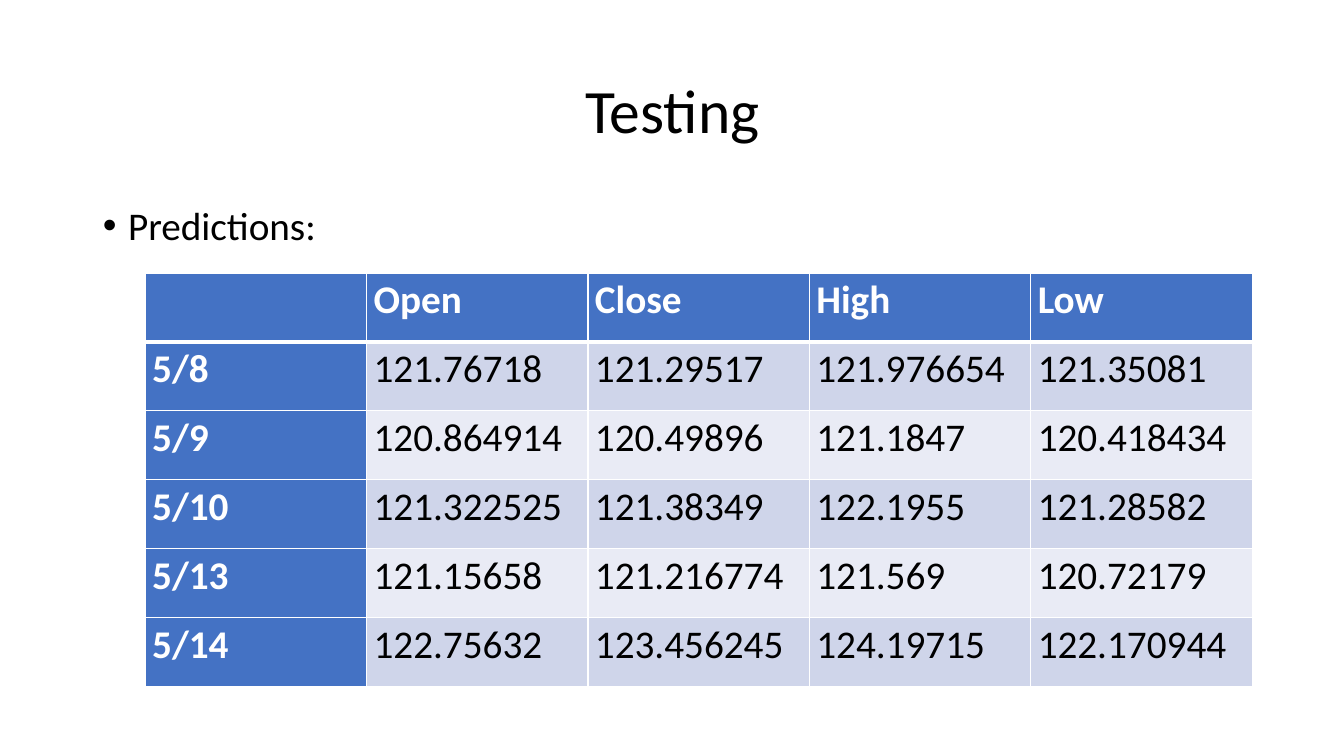
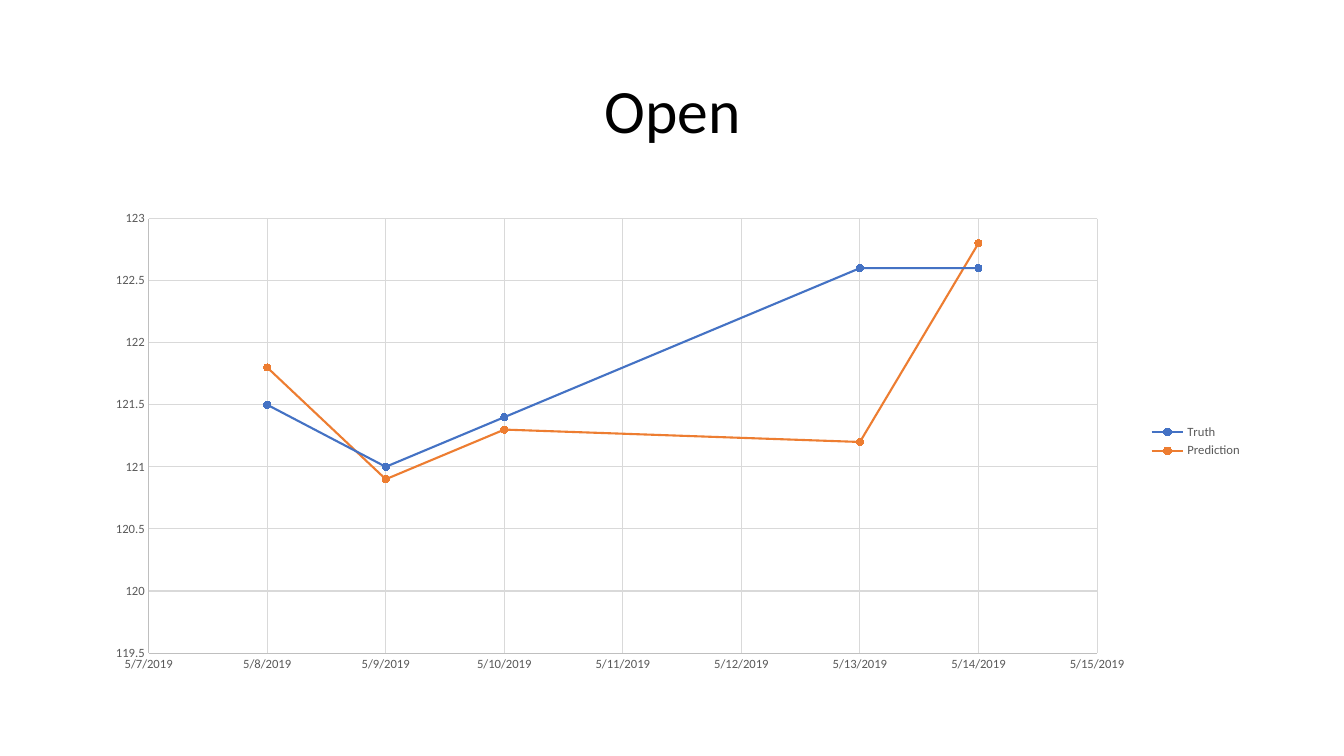
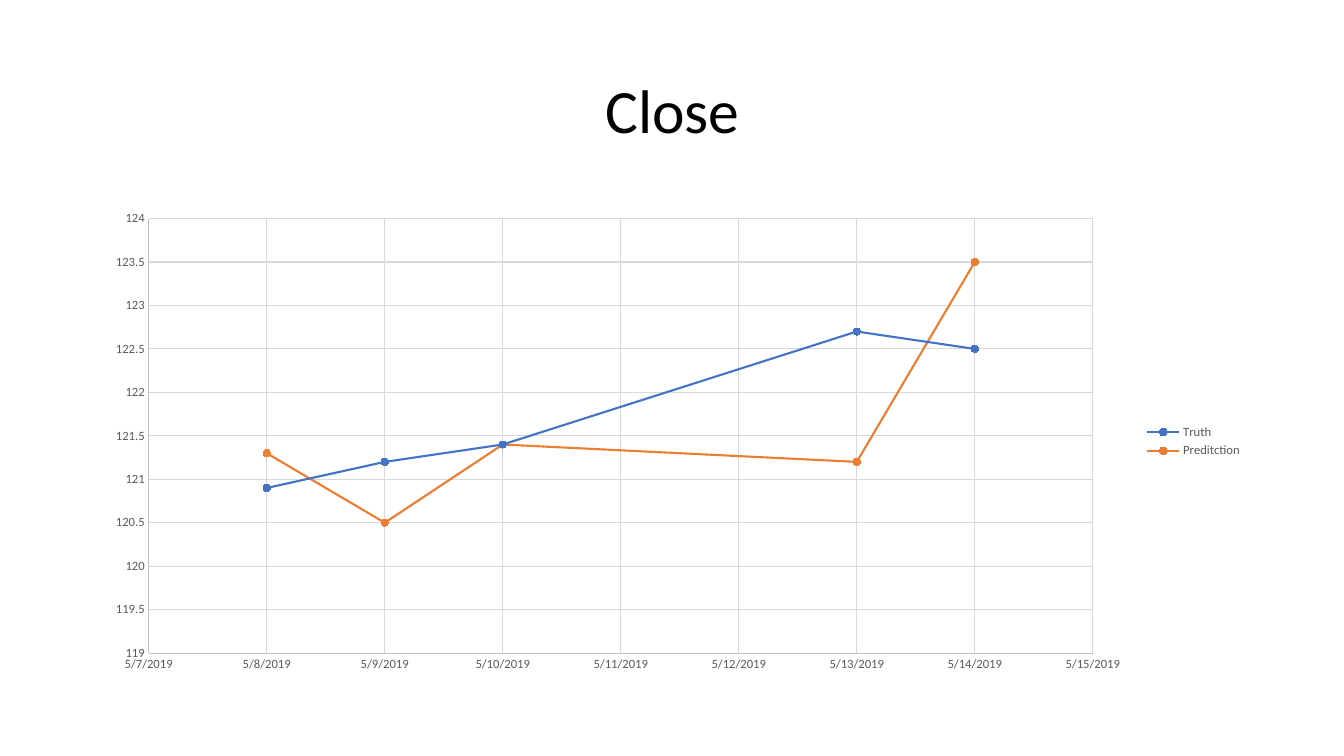
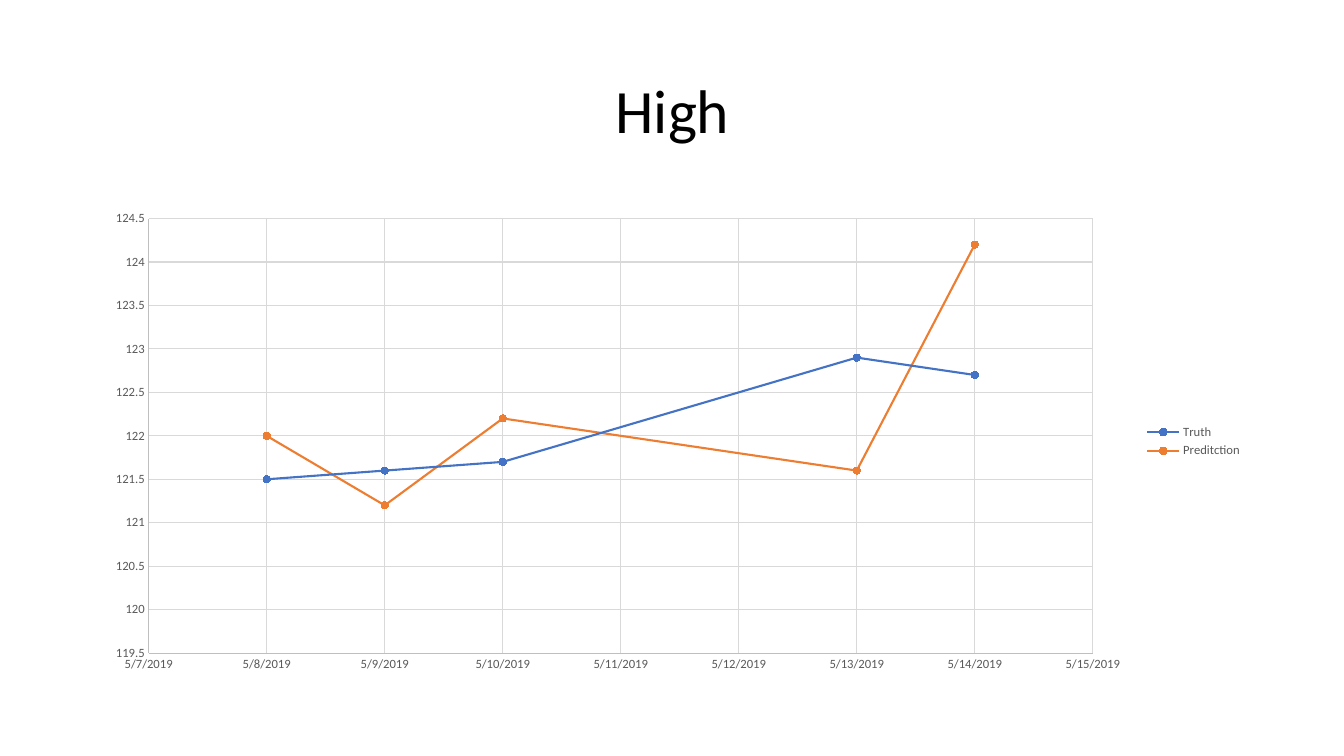
from dataclasses import dataclass

from lxml import etree
from pptx import Presentation
from pptx.chart.axis import ValueAxis
from pptx.chart.data import XyChartData
from pptx.chart.series import XySeries
from pptx.dml.color import RGBColor
from pptx.enum.chart import (XL_CHART_TYPE, XL_LEGEND_POSITION, XL_MARKER_STYLE,
                             XL_TICK_MARK)
from pptx.enum.text import MSO_ANCHOR, MSO_AUTO_SIZE, PP_ALIGN
from pptx.oxml.ns import qn
from pptx.slide import Slide
from pptx.table import _Cell
from pptx.text.text import Font, _Paragraph
from pptx.util import Inches, Pt

SCATTER_LINES = XL_CHART_TYPE.XY_SCATTER_LINES
LEGEND_RIGHT = XL_LEGEND_POSITION.RIGHT
CIRCLE = XL_MARKER_STYLE.CIRCLE
NO_TICKS = XL_TICK_MARK.NONE
MIDDLE = MSO_ANCHOR.MIDDLE
NO_AUTOFIT = MSO_AUTO_SIZE.NONE
LEFT, CENTER = PP_ALIGN.LEFT, PP_ALIGN.CENTER

# Shared style
FONT = "Calibri"
BLACK, WHITE, GREY = "000000", "FFFFFF", "595959"
BLUE, ORANGE = "4472C4", "ED7D31"
BANDS = ("CFD5EA", "E9EBF5")
AXIS_LINE, GRID_LINE = "BFBFBF", "D9D9D9"
LAYOUT_CONTENT, LAYOUT_TITLE_ONLY = 1, 5


@dataclass(frozen=True)
class Box:
    left: float
    top: float
    width: float
    height: float

    def lengths(self) -> tuple[int, int, int, int]:
        return (Inches(self.left), Inches(self.top),
                Inches(self.width), Inches(self.height))


@dataclass(frozen=True)
class Comparison:
    """Truth against prediction for one price over the test days."""
    price: str
    truth: tuple[float, ...]
    prediction_label: str
    low: float
    high: float


TITLE_BOX = Box(0.92, 0.4, 11.5, 1.45)
CONTENT_BOX = Box(0.92, 2, 11.5, 4.76)
TABLE_BOX = Box(1.44, 2.71, 10.98, 4.1)

# Test days and predicted prices
FIRST_DATE, LAST_DATE = 43592, 43600  # 5/7/2019 to 5/15/2019
TEST_DATES = (43593, 43594, 43595, 43598, 43599)
DAYS = ("5/8", "5/9", "5/10", "5/13", "5/14")
PREDICTIONS = {
    "Open": (121.76718, 120.864914, 121.322525, 121.15658, 122.75632),
    "Close": (121.29517, 120.49896, 121.38349, 121.216774, 123.456245),
    "High": (121.976654, 121.1847, 122.1955, 121.569, 124.19715),
    "Low": (121.35081, 120.418434, 121.28582, 120.72179, 122.170944),
}
COMPARISONS = (
    Comparison("Open", (121.5, 121, 121.4, 122.6, 122.6), "Prediction", 119.5, 123),
    Comparison("Close", (120.9, 121.2, 121.4, 122.7, 122.5), "Preditction", 119, 124),
    Comparison("High", (121.5, 121.6, 121.7, 122.9, 122.7), "Preditction", 119.5, 124.5),
)


def color(value: str) -> RGBColor:
    return RGBColor.from_string(value)


def style_font(font: Font, size: float, ink: str, bold: bool = False) -> None:
    font.name, font.size, font.bold = FONT, Pt(size), bold
    font.color.rgb = color(ink)


def add_run(paragraph: _Paragraph, text: str, size: float, ink: str = BLACK,
            bold: bool = False) -> None:
    run = paragraph.add_run()
    run.text = text
    style_font(run.font, size, ink, bold)


def fill_placeholder(placeholder, box: Box, text: str, size: float) -> _Paragraph:
    placeholder.left, placeholder.top, placeholder.width, placeholder.height = box.lengths()
    placeholder.text_frame.auto_size = NO_AUTOFIT
    paragraph = placeholder.text_frame.paragraphs[0]
    paragraph.line_spacing = 0.9
    add_run(paragraph, text, size)
    return paragraph


def add_titled_slide(deck, layout: int, title: str) -> Slide:
    slide = deck.slides.add_slide(deck.slide_layouts[layout])
    paragraph = fill_placeholder(slide.shapes.title, TITLE_BOX, title, 44)
    paragraph.alignment = CENTER
    slide.shapes.title.text_frame.vertical_anchor = MIDDLE
    return slide


# Prediction table
def set_border(cell: _Cell, side: str, points: float) -> None:
    properties = cell._tc.get_or_add_tcPr()
    line = etree.SubElement(properties, qn(f"a:ln{side}"), w=str(Pt(points)))
    solid = etree.SubElement(line, qn("a:solidFill"))
    etree.SubElement(solid, qn("a:srgbClr"), val=WHITE)


def format_cell(cell: _Cell, text: str, row: int, column: int) -> None:
    is_header = row == 0 or column == 0
    thick_side = {0: "B", 1: "T"}.get(row)
    for side in "LRTB":
        set_border(cell, side, 3 if side == thick_side else 1)
    cell.fill.solid()
    cell.fill.fore_color.rgb = color(BLUE if is_header else BANDS[(row - 1) % 2])
    cell.margin_left = cell.margin_right = Inches(0.07)
    cell.margin_top = cell.margin_bottom = 0
    paragraph = cell.text_frame.paragraphs[0]
    paragraph.line_spacing = 1.07
    if text:
        add_run(paragraph, text, 28, WHITE if is_header else BLACK, is_header)


def add_prediction_table(slide: Slide) -> None:
    rows = [("", *PREDICTIONS)]
    rows += [(day, *map(str, prices)) for day, *prices in zip(DAYS, *PREDICTIONS.values())]
    table = slide.shapes.add_table(len(rows), len(rows[0]), *TABLE_BOX.lengths()).table
    for row, texts in enumerate(rows):
        for column, text in enumerate(texts):
            format_cell(table.cell(row, column), text, row, column)


def build_testing_slide(deck) -> None:
    slide = add_titled_slide(deck, LAYOUT_CONTENT, "Testing")
    bullet = fill_placeholder(slide.placeholders[1], CONTENT_BOX, "Predictions:", 28)
    bullet.alignment = LEFT
    bullet.space_before = Pt(10)
    indents = bullet._p.get_or_add_pPr()
    indents.set("marL", str(Inches(0.25)))
    indents.set("indent", str(Inches(-0.25)))
    add_prediction_table(slide)


# Comparison charts
def format_axis(axis: ValueAxis, low: float, high: float, step: float,
                number_format: str) -> None:
    axis.minimum_scale, axis.maximum_scale, axis.major_unit = low, high, step
    axis.major_tick_mark = axis.minor_tick_mark = NO_TICKS
    axis.has_major_gridlines = True
    for line, ink in ((axis.format.line, AXIS_LINE),
                      (axis.major_gridlines.format.line, GRID_LINE)):
        line.color.rgb = color(ink)
        line.width = Pt(0.75)
    axis.tick_labels.number_format = number_format
    axis.tick_labels.number_format_is_linked = False
    style_font(axis.tick_labels.font, 9, GREY)


def format_series(series: XySeries, ink: str) -> None:
    series.smooth = False
    series.format.line.color.rgb = color(ink)
    series.format.line.width = Pt(1.5)
    marker = series.marker
    marker.style, marker.size = CIRCLE, 5
    marker.format.fill.solid()
    marker.format.fill.fore_color.rgb = color(ink)
    marker.format.line.color.rgb = color(ink)


def build_comparison_slide(deck, comparison: Comparison) -> None:
    slide = add_titled_slide(deck, LAYOUT_TITLE_ONLY, comparison.price)
    predicted = [round(price, 1) for price in PREDICTIONS[comparison.price]]
    data = XyChartData()
    for label, prices in (("Truth", comparison.truth),
                          (comparison.prediction_label, predicted)):
        series = data.add_series(label)
        for date, price in zip(TEST_DATES, prices):
            series.add_data_point(date, price)

    chart = slide.shapes.add_chart(SCATTER_LINES, *CONTENT_BOX.lengths(), data).chart
    style_font(chart.font, 10, BLACK)
    chart.has_title = False
    chart.has_legend = True
    chart.legend.position = LEGEND_RIGHT
    chart.legend.include_in_layout = False
    style_font(chart.legend.font, 9, GREY)
    format_axis(chart.category_axis, FIRST_DATE, LAST_DATE, 1, "m/d/yyyy")
    format_axis(chart.value_axis, comparison.low, comparison.high, 0.5, "General")
    chart.plots[0].vary_by_categories = False
    for series, ink in zip(chart.plots[0].series, (BLUE, ORANGE)):
        format_series(series, ink)


def main() -> None:
    deck = Presentation()
    deck.slide_width, deck.slide_height = Inches(13.33), Inches(7.5)
    build_testing_slide(deck)
    for comparison in COMPARISONS:
        build_comparison_slide(deck, comparison)
    deck.save("out.pptx")


if __name__ == "__main__":
    main()
